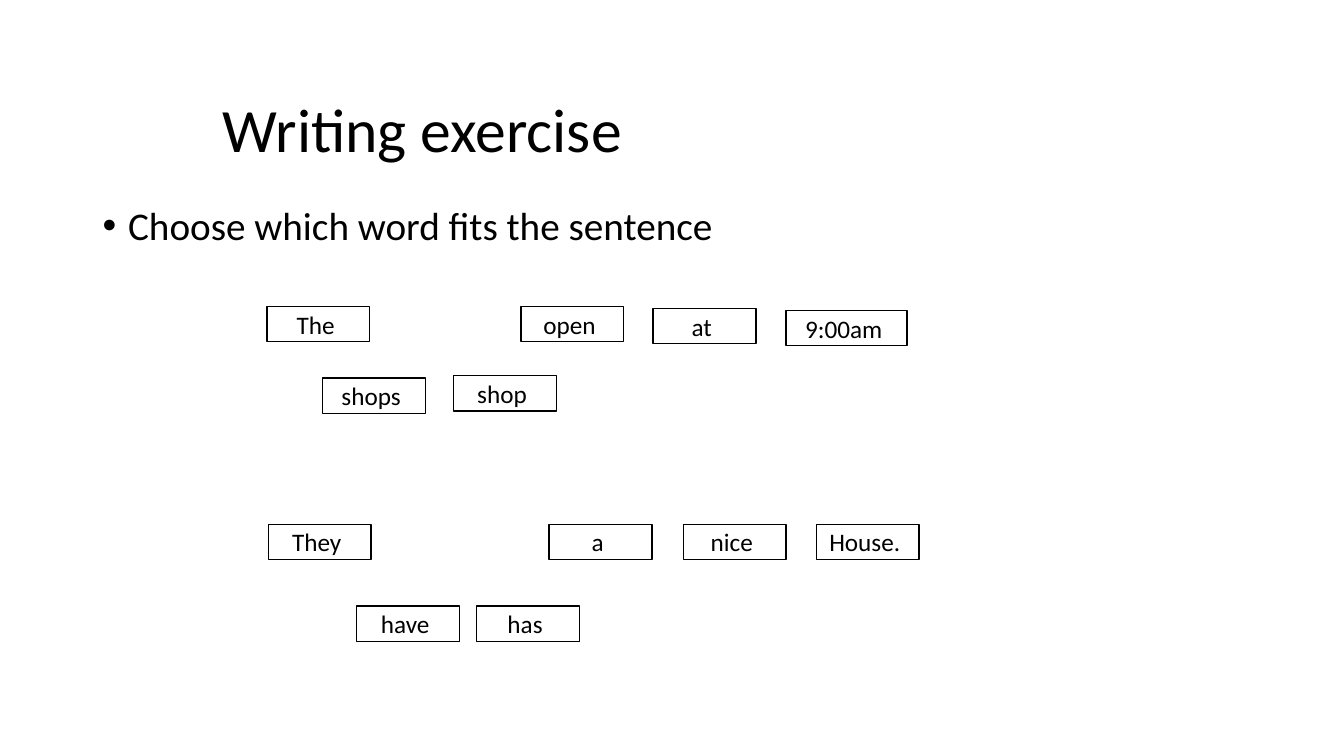
from pptx import Presentation
from pptx.dml.color import RGBColor
from pptx.enum.shapes import MSO_SHAPE as Shape
from pptx.enum.text import MSO_ANCHOR as Anchor, PP_ALIGN as Align
from pptx.oxml.ns import qn
from pptx.util import Cm, Pt
from lxml.etree import SubElement as Sub

BLACK, WHITE = "000000", "FFFFFF"
CARDS = [
    ("The ", 6.73, 7.72, 2.59),
    ("open ", 13.13, 7.72, 2.59),
    ("at ", 16.46, 7.77, 2.59),
    ("9:00am ", 19.81, 7.82, 3.05),
    ("shops ", 8.13, 9.53, 2.59),
    ("shop ", 11.43, 9.47, 2.59),
    ("They ", 6.76, 13.21, 2.59),
    ("a ", 13.84, 13.21, 2.59),
    ("nice ", 17.22, 13.21, 2.59),
    ("House. ", 20.57, 13.21, 2.59),
    ("have ", 8.99, 15.27, 2.59),
    ("has ", 12.01, 15.27, 2.59),
]


def tint(code):
    """Turn a hex string into a colour."""
    return RGBColor.from_string(code)


def write(frame, text, size, align, anchor):
    """Fill a text frame with one styled paragraph and return it."""
    frame.word_wrap = True
    frame.vertical_anchor = anchor
    para = frame.paragraphs[0]
    para.text = text
    para.alignment = align
    para.font.name = "Calibri"
    para.font.size = Pt(size)
    para.font.color.rgb = tint(BLACK)
    return para


def add_title(slide, text):
    """Move the title placeholder and fill it."""
    title = slide.shapes.title
    title.left, title.top = Cm(5.36), Cm(2.13)
    title.width, title.height = Cm(22.86), Cm(2.41)
    para = write(title.text_frame, text, 44, Align.LEFT, Anchor.MIDDLE)
    para.line_spacing = 0.9


def add_task(slide, text):
    """Add the bulleted instruction."""
    box = slide.shapes.add_textbox(Cm(2.34), Cm(5.08), Cm(29.21), Cm(12.09))
    para = write(box.text_frame, text, 28, Align.LEFT, Anchor.TOP)
    para.line_spacing = 0.9
    para.space_before = Pt(10)
    props = para._p.get_or_add_pPr()
    props.set("marL", str(Cm(0.64)))
    props.set("indent", str(-Cm(0.64)))
    font = Sub(props, qn("a:buFont"))
    font.set("typeface", "Arial")
    mark = Sub(props, qn("a:buChar"))
    mark.set("char", "•")
    props.append(props.find(qn("a:defRPr")))


def add_card(slide, word, left, top, width):
    """Add one outlined word card."""
    card = slide.shapes.add_shape(
        Shape.RECTANGLE, Cm(left), Cm(top), Cm(width), Cm(0.89))
    card.shadow.inherit = False
    card.fill.solid()
    card.fill.fore_color.rgb = tint(WHITE)
    card.line.color.rgb = tint(BLACK)
    card.line.width = Pt(1)
    write(card.text_frame, word, 18, Align.CENTER, Anchor.MIDDLE)


def main():
    """Build and save the slide."""
    deck = Presentation()
    deck.slide_width, deck.slide_height = Cm(33.87), Cm(19.05)
    slide = deck.slides.add_slide(deck.slide_layouts[5])
    add_title(slide, "Writing exercise")
    add_task(slide, "Choose which word fits the sentence")
    for card in CARDS:
        add_card(slide, *card)
    deck.save("out.pptx")


if __name__ == "__main__":
    main()
